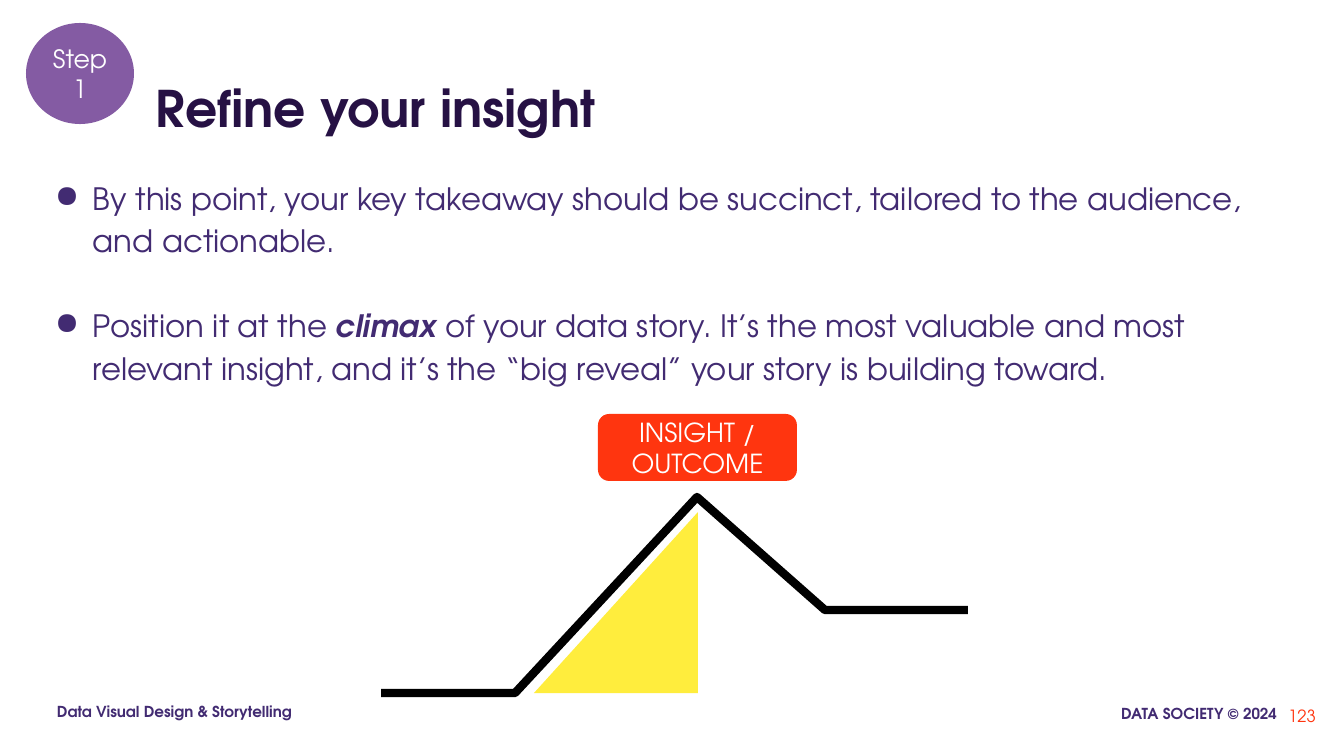
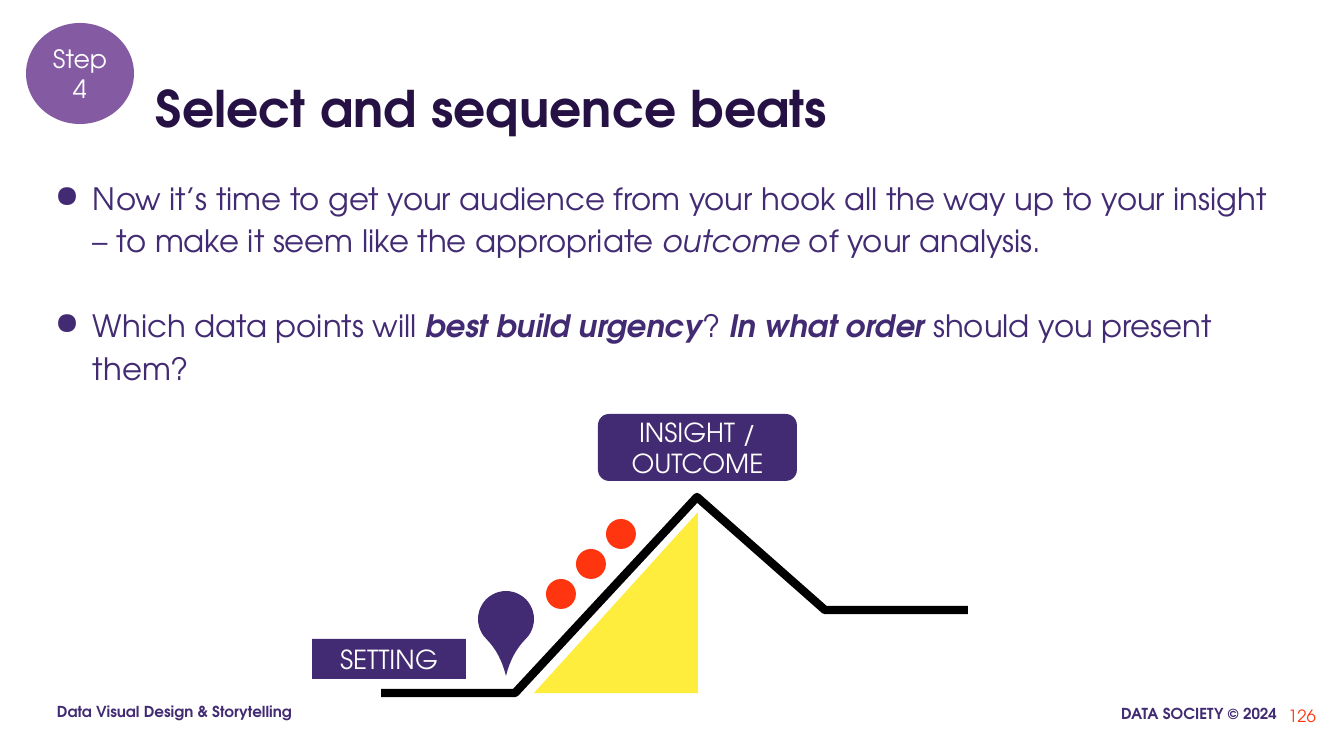
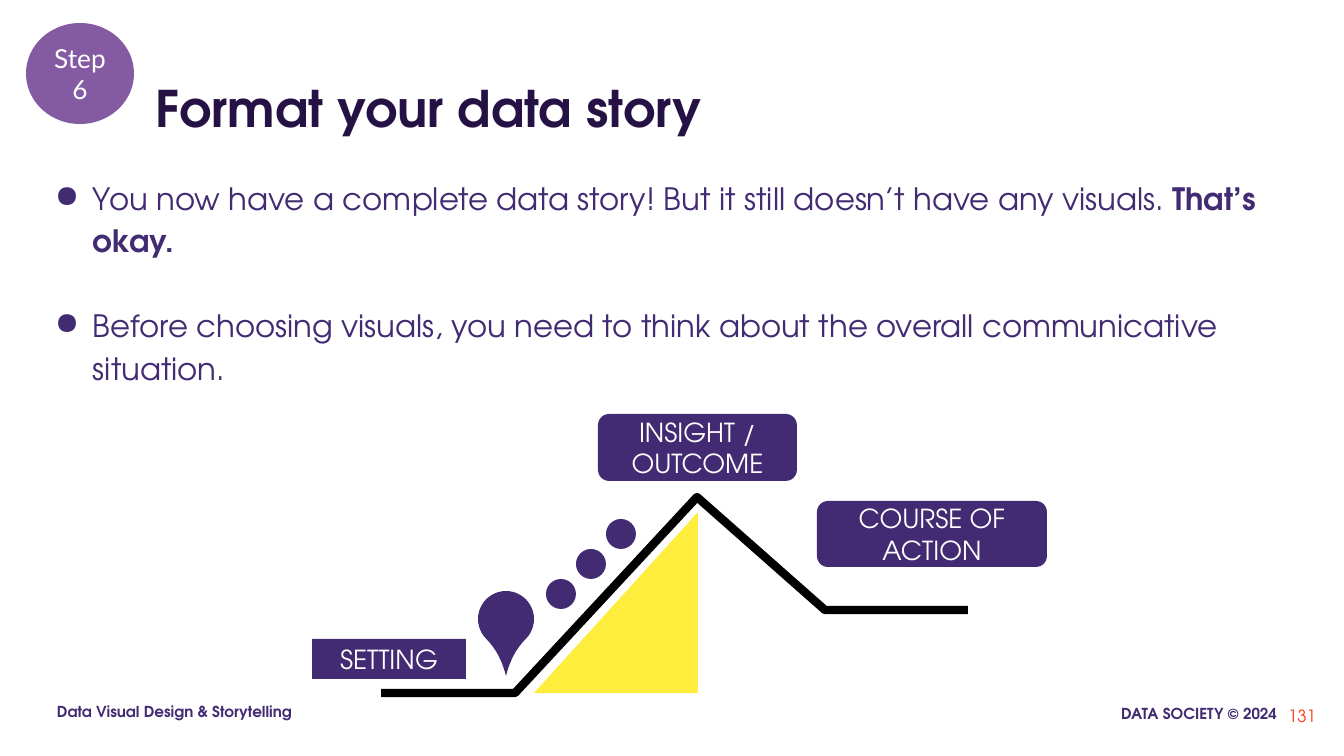
"""Builds three steps of a data storytelling deck, each with a story-arc diagram."""
from dataclasses import dataclass

from lxml.etree import SubElement
from pptx import Presentation
from pptx.dml.color import RGBColor
from pptx.enum.shapes import MSO_SHAPE
from pptx.enum.text import MSO_ANCHOR, PP_ALIGN
from pptx.oxml.ns import qn
from pptx.util import Pt

PX = 914400 / 100.8


@dataclass(frozen=True)
class Theme:
    """Colours, fonts and type sizes shared by all slides."""
    purple: str = "422B72"
    title_color: str = "261144"
    badge: str = "845BA3"
    highlight: str = "FF350F"
    slope: str = "FFED3D"
    arc: str = "000000"
    white: str = "FFFFFF"
    font: str = "TeX Gyre Adventor"
    badge_font: str = "Lato"
    title_size: float = 36
    body_size: float = 22
    label_size: float = 18.7
    badge_size: float = 18
    number_size: float = 12
    footer_size: float = 10.8


THEME = Theme()


def px(value):
    """Turn a length in px into EMU."""
    return round(value * PX)


def set_frame(item, anchor, inset_x, inset_y):
    """Wrap the text of a box or shape and set its anchor and insets."""
    frame = item.text_frame
    frame.word_wrap = True
    frame.vertical_anchor = anchor
    frame.margin_left = frame.margin_right = px(inset_x)
    frame.margin_top = frame.margin_bottom = px(inset_y)
    return frame


def set_font(para, size, color, bold=False, name=THEME.font):
    """Set the font of a whole paragraph."""
    font = para.font
    font.name, font.size, font.bold = name, Pt(size), bold
    font.color.rgb = RGBColor.from_string(color)


def add_text(page, area, text, size, color, bold=False, align=PP_ALIGN.LEFT,
             anchor=MSO_ANCHOR.TOP, insets=(10, 5), indent=0):
    """Add a text box with one paragraph."""
    box = page.shapes.add_textbox(*map(px, area))
    para = set_frame(box, anchor, *insets).paragraphs[0]
    para.text = text
    para.alignment = align
    if indent:
        para._p.get_or_add_pPr().set("marL", str(px(indent)))
    set_font(para, size, color, bold)


def add_bullets(page, area, bullets):
    """Add a bulleted list whose items are (text, style) spans, b bold and i italic."""
    box = page.shapes.add_textbox(*map(px, area))
    frame = set_frame(box, MSO_ANCHOR.TOP, 10, 5)
    for index, spans in enumerate(bullets):
        para = frame.add_paragraph() if index else frame.paragraphs[0]
        para.line_spacing = 1.15
        if index:
            para.space_before = Pt(30.4)
        props = para._p.get_or_add_pPr()
        props.set("marL", str(px(38)))
        props.set("indent", str(px(-38)))
        bullet_color = SubElement(props, qn("a:buClr"))
        SubElement(bullet_color, qn("a:srgbClr"), val=THEME.purple)
        SubElement(props, qn("a:buChar"), char="●")
        set_font(para, THEME.body_size, THEME.purple)
        for text, style in spans:
            span = para.add_run()
            span.text = text
            if "b" in style:
                span.font.bold = True
            if "i" in style:
                span.font.italic = True


def add_figure(page, kind, area, color):
    """Add a flat preset shape without outline."""
    shape = page.shapes.add_shape(kind, *map(px, area))
    shape.shadow.inherit = False
    shape.fill.solid()
    shape.fill.fore_color.rgb = RGBColor.from_string(color)
    shape.line.fill.background()
    return shape


def add_label(page, kind, area, text, color, size=THEME.label_size,
              insets=(13, 13), name=THEME.font):
    """Add a filled shape with centred white text."""
    shape = add_figure(page, kind, area, color)
    para = set_frame(shape, MSO_ANCHOR.MIDDLE, *insets).paragraphs[0]
    para.text = text
    para.alignment = PP_ALIGN.CENTER
    set_font(para, size, THEME.white, name=name)


def add_arc(page, insight_color):
    """Draw the story arc, its yellow slope and the insight label."""
    builder = page.shapes.build_freeform(381, 693, scale=PX)
    builder.add_line_segments([(515, 693), (697, 497), (825, 610), (968, 610)], close=False)
    arc = builder.convert_to_shape()
    arc.shadow.inherit = False
    arc.fill.background()
    arc.line.width = Pt(6)
    arc.line.color.rgb = RGBColor.from_string(THEME.arc)
    SubElement(arc.line._get_or_add_ln(), qn("a:round"))
    add_label(page, MSO_SHAPE.ROUNDED_RECTANGLE, (598, 414, 199, 67),
              "INSIGHT / OUTCOME", insight_color)
    slope = add_figure(page, MSO_SHAPE.RIGHT_TRIANGLE, (534, 512, 164, 181), THEME.slope)
    slope._element.spPr.xfrm.set("flipH", "1")


def add_setting(page):
    """Draw the setting label and its pin."""
    pin = add_figure(page, MSO_SHAPE.TEAR, (478, 591, 56, 56), THEME.purple)
    pin.adjustments[0] = 1.44
    pin.rotation = 135
    add_label(page, MSO_SHAPE.RECTANGLE, (312, 639, 154, 40), "SETTING", THEME.purple)


def add_beats(page, color):
    """Draw the three beats that climb the slope."""
    for step in range(3):
        add_figure(page, MSO_SHAPE.OVAL, (546 + 30 * step, 579 - 30 * step, 30, 30), color)


def add_page(deck, number, step, title, bullets, body_height=502,
             badge_font=THEME.font, badge_size=THEME.badge_size):
    """Add a slide with footer, title, bullets and step badge."""
    page = deck.slides.add_slide(deck.slide_layouts[6])
    add_text(page, (1065, 695, 224, 42), "DATA SOCIETY © 2024", THEME.footer_size,
             THEME.purple, True, PP_ALIGN.RIGHT, insets=(12, 12))
    add_text(page, (45, 693, 276, 42), "Data Visual Design & Storytelling",
             THEME.footer_size, THEME.purple, True, insets=(12, 12))
    add_text(page, (1245, 695, 81, 42), str(number), THEME.number_size,
             THEME.highlight, align=PP_ALIGN.RIGHT, anchor=MSO_ANCHOR.MIDDLE)
    add_text(page, (45, 58, 1252, 85), title, THEME.title_size, THEME.title_color,
             True, anchor=MSO_ANCHOR.BOTTOM, indent=101)
    add_bullets(page, (45, 169, 1252, body_height), bullets)
    add_label(page, MSO_SHAPE.OVAL, (26, 23, 108, 101), f"Step {step}", THEME.badge,
              badge_size, (10, 5), badge_font)
    return page


def main():
    """Build and save the deck."""
    deck = Presentation()
    deck.slide_width, deck.slide_height = px(1344), px(756)

    page = add_page(deck, 123, 1, "Refine your insight", [
        [("By this point, your key takeaway should be succinct, tailored to the "
          "audience, and actionable.", "")],
        [("Position it at the ", ""), ("climax ", "bi"),
         ("of your data story. It’s the most valuable and most relevant insight, "
          "and it’s the “big reveal” your story is building toward.", "")],
    ], body_height=225)
    add_arc(page, THEME.highlight)

    page = add_page(deck, 126, 4, "Select and sequence beats", [
        [("Now it’s time to get your audience from your hook all the way up to your "
          "insight – to make it seem like the appropriate ", ""),
         ("outcome", "i"), (" of your analysis.", "")],
        [("Which data points will ", ""), ("best build urgency", "bi"), ("? ", ""),
         ("In what order", "bi"), (" should you present them?", "")],
    ])
    add_arc(page, THEME.purple)
    add_setting(page)
    add_beats(page, THEME.highlight)

    page = add_page(deck, 131, 6, "Format your data story", [
        [("You now have a complete data story! But it still doesn’t have any visuals. ", ""),
         ("That’s okay.", "b")],
        [("Before choosing visuals, you need to think about the overall communicative "
          "situation.", "")],
    ], badge_font=THEME.badge_font, badge_size=THEME.label_size)
    add_arc(page, THEME.purple)
    add_setting(page)
    add_beats(page, THEME.purple)
    add_label(page, MSO_SHAPE.ROUNDED_RECTANGLE, (817, 501, 230, 66),
              "COURSE OF ACTION", THEME.purple)

    deck.save("out.pptx")


if __name__ == "__main__":
    main()
